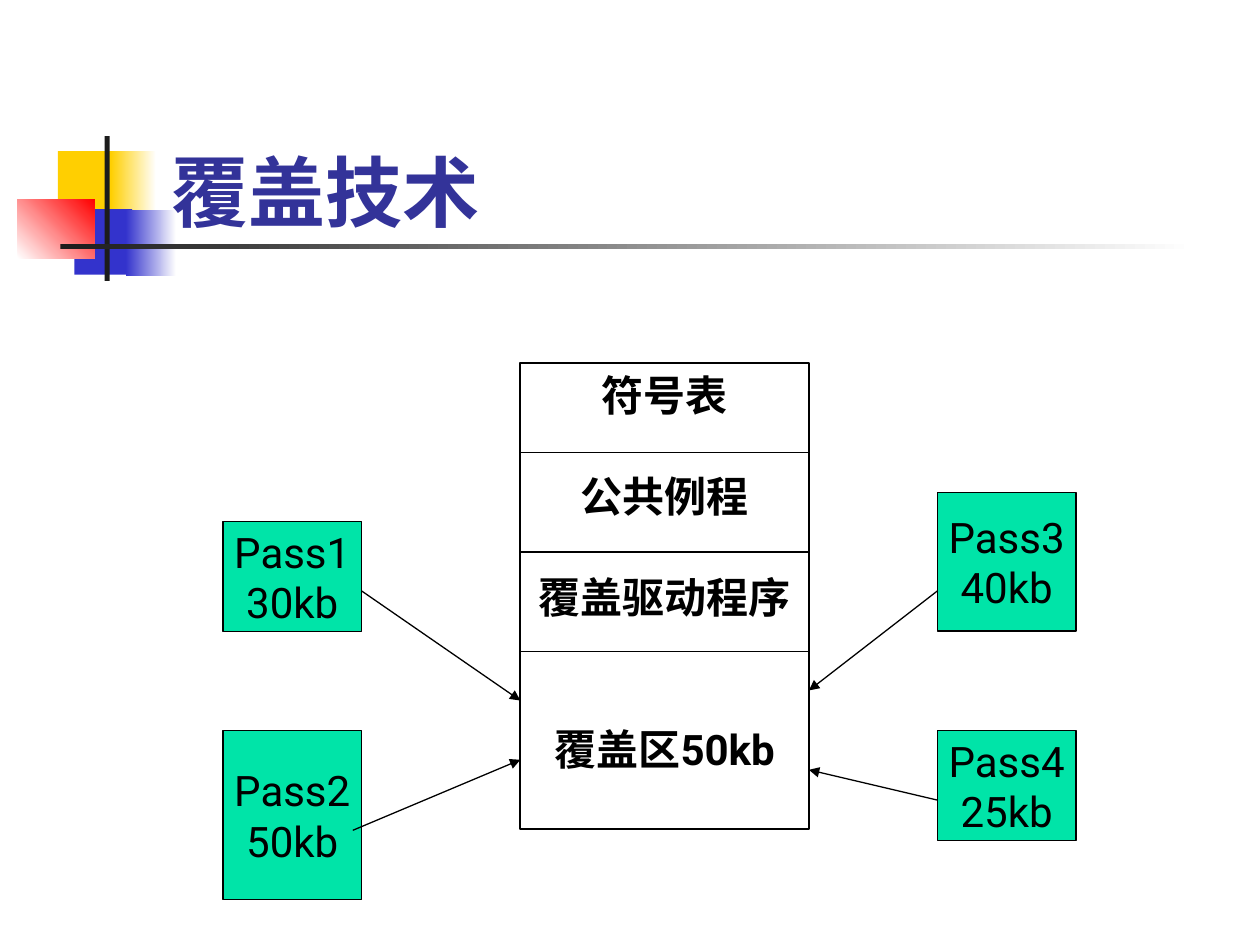
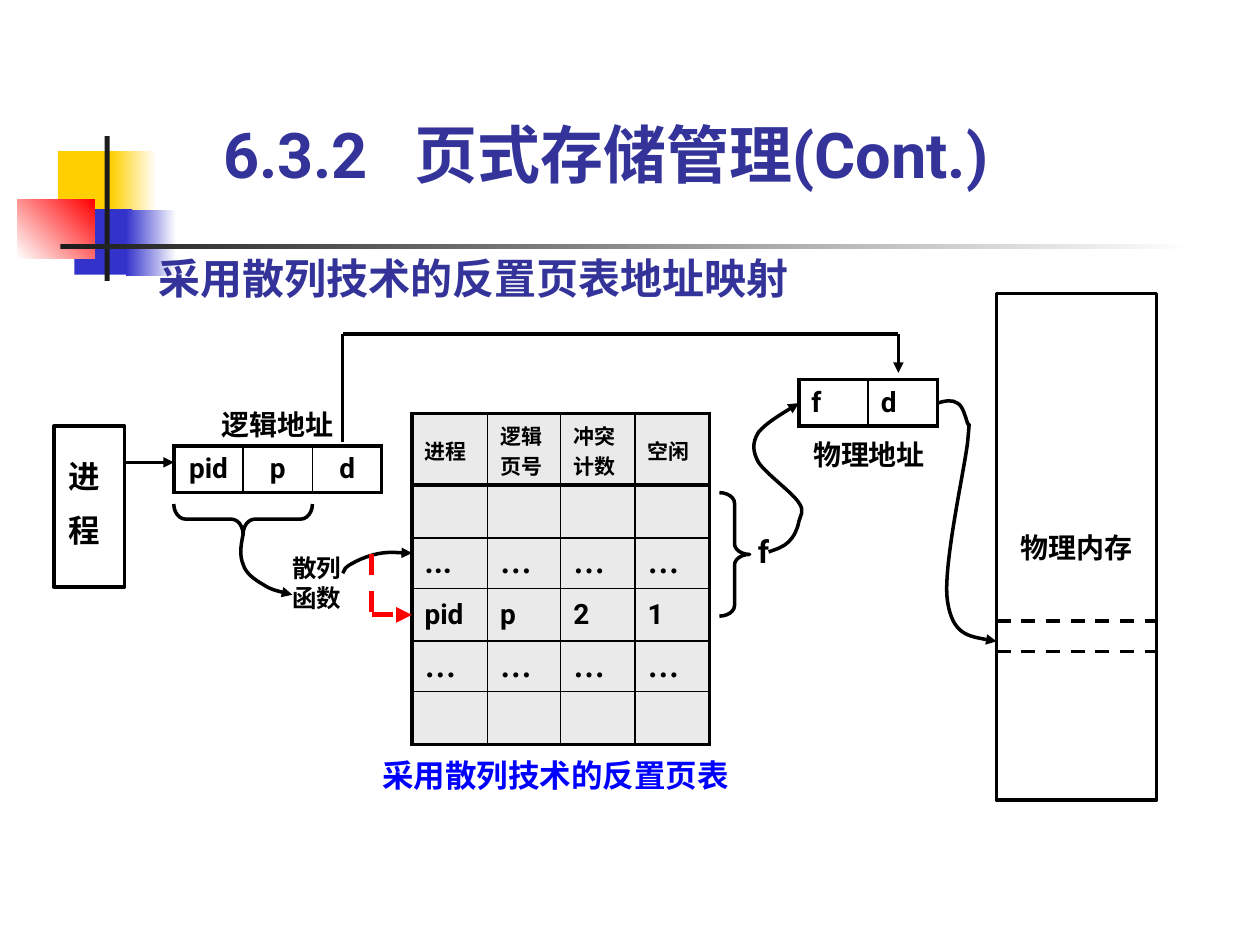
from lxml.etree import SubElement
from pptx import Presentation
from pptx.dml.color import RGBColor
from pptx.enum.dml import MSO_LINE_DASH_STYLE as Dash
from pptx.enum.shapes import MSO_CONNECTOR as Connector, MSO_SHAPE as Shape
from pptx.enum.text import MSO_ANCHOR as Anchor, MSO_AUTO_SIZE as AutoSize, PP_ALIGN as Align
from pptx.oxml.ns import qn
from pptx.util import Inches, Pt

FONT = "Roboto"
COLORS = {
    "black": "000000", "white": "FFFFFF", "title": "333399", "caption": "0000FF",
    "pass": "00E4A8", "cell": "EAEAEA", "red": "FF0000",
    "yellow": "FFCF01", "blue": "3333CC", "bar": "1C1C1C",
}
NO_STYLE_TABLE = "{2D5ABB26-0587-4C30-8999-92F81FD0307C}"
DEFAULT_MARGINS = (0.1, 0.05, 0.1, 0.05)
NO_MARGINS = (0, 0, 0, 0)
THICK, THIN = 2.25, 1


def rgb(name):
    return RGBColor.from_string(COLORS[name])


def inches(values):
    return [Inches(value) for value in values]


# Text
def format_paragraph(paragraph, size, color="black", bold=True, align=Align.LEFT, font=FONT):
    paragraph.alignment = align
    for run in paragraph.runs:
        run.font.size = Pt(size)
        run.font.bold = bold
        run.font.name = font
        run.font.color.rgb = rgb(color)
        SubElement(run.font._element, qn("a:ea"), typeface=font)


def write_text(shape, text, size, anchor=Anchor.TOP, margins=DEFAULT_MARGINS, wrap=True,
               gaps=(), **style):
    """Fill a shape with text; gaps are the points before each later paragraph."""
    frame = shape.text_frame
    frame.text = text
    frame.word_wrap = wrap
    frame.auto_size = AutoSize.NONE
    frame.vertical_anchor = anchor
    (frame.margin_left, frame.margin_top,
     frame.margin_right, frame.margin_bottom) = inches(margins)
    for paragraph in frame.paragraphs:
        format_paragraph(paragraph, size, **style)
    for paragraph, gap in zip(frame.paragraphs[1:], gaps):
        paragraph.space_before = Pt(gap)


def add_label(slide, box, text, size, **style):
    label = slide.shapes.add_textbox(*inches(box))
    write_text(label, text, size, **style)
    return label


def set_title(slide, box, text, size, **style):
    title = slide.shapes.title
    title.left, title.top, title.width, title.height = inches(box)
    write_text(title, text, size, anchor=Anchor.BOTTOM, color="title", **style)
    return title


# Shapes and lines
def add_box(slide, box, fill=None, line_width=None, kind=Shape.RECTANGLE):
    shape = slide.shapes.add_shape(kind, *inches(box))
    shape.shadow.inherit = False
    if fill:
        shape.fill.solid()
        shape.fill.fore_color.rgb = rgb(fill)
    else:
        shape.fill.background()
    if line_width:
        shape.line.color.rgb = rgb("black")
        shape.line.width = Pt(line_width)
    else:
        shape.line.fill.background()
    return shape


def add_brace(slide, kind, box, curve, rotation=0):
    brace = add_box(slide, box, line_width=2, kind=kind)
    brace.adjustments[0] = curve
    brace.rotation = rotation


def style_line(line, width, color="black", arrow=False, dashed=False):
    line.color.rgb = rgb(color)
    line.width = Pt(width)
    if dashed:
        line.dash_style = Dash.DASH
    if arrow:
        SubElement(line._get_or_add_ln(), qn("a:tailEnd"), type="triangle")


def add_line(slide, start, end, width=2, **style):
    line = slide.shapes.add_connector(Connector.STRAIGHT, *inches(start + end))
    SubElement(line.element.spPr, qn("a:effectLst"))
    style_line(line.line, width, **style)


def add_curved_arrow(slide, start, *curves):
    """Draw a chain of cubic curves, each given as two controls and an end."""
    builder = slide.shapes.build_freeform(*inches(start))
    builder.add_line_segments([inches(point) for curve in curves for point in curve],
                              close=False)
    arrow = builder.convert_to_shape()
    outline = arrow.element.find(".//" + qn("a:path"))
    segments = outline.findall(qn("a:lnTo"))
    for index in range(0, len(segments), 3):
        cubic = SubElement(outline, qn("a:cubicBezTo"))
        for segment in segments[index:index + 3]:
            cubic.append(segment[0])
            outline.remove(segment)
    arrow.shadow.inherit = False
    arrow.fill.background()
    style_line(arrow.line, 2, arrow=True)


# Tables
def add_table(slide, left, top, widths, heights):
    frame = slide.shapes.add_table(len(heights), len(widths), *inches(
        (left, top, sum(widths), sum(heights))))
    frame.element.find(".//" + qn("a:tableStyleId")).text = NO_STYLE_TABLE
    table = frame.table
    table.first_row = table.horz_banding = False
    for column, width in zip(table.columns, widths):
        column.width = Inches(width)
    for row, height in zip(table.rows, heights):
        row.height = Inches(height)
    return table


def write_cell(cell, text, size, margins=DEFAULT_MARGINS, line_spacing=None, **style):
    cell.text_frame.text = text
    cell.vertical_anchor = Anchor.MIDDLE
    (cell.margin_left, cell.margin_top,
     cell.margin_right, cell.margin_bottom) = inches(margins)
    paragraph = cell.text_frame.paragraphs[0]
    paragraph.line_spacing = line_spacing
    format_paragraph(paragraph, size, **style)


def draw_grid(table, first, last, thick_below=(), fill=None):
    """Rule rows first to last: thick round the outside, thin inside."""
    thick_rules = {first, last + 1, *(row + 1 for row in thick_below)}
    thick_columns = {0, len(table.columns)}
    for row in range(first, last + 1):
        for column in range(len(table.columns)):
            cell = table.cell(row, column)
            properties = cell._tc.get_or_add_tcPr()
            sides = {"L": column in thick_columns, "R": column + 1 in thick_columns,
                     "T": row in thick_rules, "B": row + 1 in thick_rules}
            for side, thick in sides.items():
                width = Pt(THICK if thick else THIN)
                border = SubElement(properties, qn(f"a:ln{side}"), w=str(width))
                solid = SubElement(border, qn("a:solidFill"))
                SubElement(solid, qn("a:srgbClr"), val=COLORS["black"])
            if fill:
                cell.fill.solid()
                cell.fill.fore_color.rgb = rgb(fill)
            else:
                cell.fill.background()


# Shared decoration beside and below the title, kept on the layout
def decorate_layout(layout, slide):
    bands = [
        ((0.46, 1.2, 0.48, 0.52), ("yellow",), 0),
        ((0.88, 1.2, 0.36, 0.52), ("yellow", "white"), 0),
        ((0.59, 1.66, 0.46, 0.52), ("blue",), 0),
        ((1, 1.67, 0.4, 0.52), ("blue", "white"), 0),
        ((0.14, 1.58, 0.61, 0.47), ("white", "red"), 45),
        ((0.83, 1.08, 0.04, 1.15), ("bar",), 0),
        ((0.48, 1.94, 9, 0.04), ("bar", "white"), 0),
    ]
    for index, (box, colors, angle) in enumerate(bands):
        band = add_box(slide, box, fill=colors[0])
        if len(colors) == 2:
            band.fill.gradient()
            band.fill.gradient_angle = angle
            for stop, color, position in zip(band.fill.gradient_stops, colors, (0, 1)):
                stop.color.rgb = rgb(color)
                stop.position = position
        band.element.nvSpPr.cNvPr.set("id", str(20 + index))
        layout.shapes.element.insert(2 + index, band.element)


def build_overlay_slide(slide):
    set_title(slide, (1.26, 0.68, 8.52, 1.25), "覆盖技术", 44)

    # Memory column with its four areas
    memory = add_box(slide, (4.13, 2.88, 2.29, 3.7), line_width=1.25)
    write_text(memory, "符号表\n公共例程\n覆盖驱动程序\n覆盖区50kb", 24,
               wrap=False, gaps=(29, 29, 58), align=Align.CENTER)
    for index in range(3):
        y = 3.59 + 0.79 * index
        add_line(slide, (4.13, y), (6.42, y), 0.75)

    # Passes and the arrows into the overlay area
    passes = [
        ("Pass1\n30kb", 1.77, 4.14, 0.87, (2.87, 4.69), (4.13, 5.56)),
        ("Pass2\n50kb", 1.77, 5.8, 1.34, (2.8, 6.59), (4.13, 6.03)),
        ("Pass3\n40kb", 7.44, 3.91, 1.1, (7.44, 4.69), (6.42, 5.48)),
        ("Pass4\n25kb", 7.44, 5.8, 0.87, (7.44, 6.35), (6.42, 6.11)),
    ]
    for text, left, top, height, start, end in passes:
        box = add_box(slide, (left, top, 1.1, height), "pass", 0.75)
        write_text(box, text, 24, anchor=Anchor.MIDDLE, wrap=False,
                   bold=False, align=Align.CENTER)
        add_line(slide, start, end, 0.75, arrow=True)


def add_address_tables(slide):
    logical = add_table(slide, 1.38, 3.12, [0.55] * 3, [0.42, 0.37])
    logical.cell(0, 0).merge(logical.cell(0, 2))
    write_cell(logical.cell(0, 0), "逻辑地址", 16, (0, 0.13, 0, 0.03), align=Align.CENTER)
    for column, text in enumerate(("pid", "p", "d")):
        write_cell(logical.cell(1, column), text, 16, align=Align.CENTER)
    draw_grid(logical, 1, 1)

    physical = add_table(slide, 6.34, 3.01, [0.55] * 2, [0.37] * 2)
    physical.cell(1, 0).merge(physical.cell(1, 1))
    write_cell(physical.cell(1, 0), "物理地址", 16, (0.1, 0.11, 0.1, 0), align=Align.RIGHT)
    for column, text in enumerate(("f", "d")):
        write_cell(physical.cell(0, column), text, 16)
    draw_grid(physical, 0, 0)


def add_page_table(slide):
    table = add_table(slide, 3.27, 3.28, [0.6, 0.58, 0.59, 0.59],
                      [0.57, 0.42, 0.4, 0.42, 0.4, 0.42])
    for column, text in enumerate(("进程", "逻辑页号", "冲突计数", "空闲")):
        write_cell(table.cell(0, column), text, 12, (0.1, 0.03, 0.1, 0.03), line_spacing=1.25)
    for column, text in enumerate(("pid", "p", "2", "1")):
        write_cell(table.cell(3, column), text, 16)
        for row in (2, 4):
            first_dots = (row, column) == (2, 0)
            write_cell(table.cell(row, column), "..." if first_dots else "…", 18,
                       font=FONT if first_dots else "Times New Roman")
    draw_grid(table, 0, 5, thick_below=(0,), fill="cell")


def build_paging_slide(slide):
    # Heading with a tab after the section number, and the slide title
    heading = add_label(slide, (1.77, 0.92, 7.09, 0.6), "6.3.2\t页式存储管理(Cont.)", 36,
                        anchor=Anchor.BOTTOM, margins=NO_MARGINS, color="title")
    tabs = SubElement(heading.text_frame.paragraphs[0]._p.get_or_add_pPr(), qn("a:tabLst"))
    SubElement(tabs, qn("a:tab"), pos=str(Inches(1.52)), algn="l")
    title = set_title(slide, (1.26, 2.05, 5.32, 0.36), "采用散列技术的反置页表地址映射", 24,
                      margins=NO_MARGINS)
    title.text_frame.paragraphs[0].line_spacing = 0.9

    add_address_tables(slide)
    add_page_table(slide)

    # Process
    process = add_box(slide, (0.43, 3.38, 0.56, 1.28), line_width=2)
    write_text(process, "进\n程", 18, margins=(0.1, 0.25, 0.18, 0.25), gaps=(9,),
               align=Align.CENTER)
    add_line(slide, (0.98, 3.67), (1.38, 3.67), arrow=True)

    # Hash function
    add_brace(slide, Shape.LEFT_BRACE, (1.81, 3.57, 0.24, 1.1), 0.39, rotation=270)
    add_curved_arrow(slide, (1.93, 4.24),
                     ((1.91, 4.33), (1.9, 4.41), (1.93, 4.48)),
                     ((1.95, 4.55), (2.02, 4.6), (2.09, 4.64)),
                     ((2.15, 4.68), (2.24, 4.7), (2.32, 4.72)))
    add_label(slide, (2.32, 4.39, 0.47, 0.47), "散列函数", 14, margins=NO_MARGINS)
    add_curved_arrow(slide, (2.72, 4.55),
                     ((2.73, 4.52), (2.74, 4.5), (2.8, 4.47)),
                     ((2.85, 4.44), (2.95, 4.4), (3.03, 4.39)),
                     ((3.11, 4.38), (3.19, 4.39), (3.27, 4.39)))

    # Collision step to the matching row
    add_line(slide, (2.95, 4.4), (2.95, 4.88), 3, color="red", dashed=True)
    add_line(slide, (2.95, 4.88), (3.27, 4.88), 3, color="red", dashed=True, arrow=True)

    # Frame number
    add_brace(slide, Shape.RIGHT_BRACE, (5.71, 3.91, 0.24, 0.98), 0.35)
    add_label(slide, (5.94, 4.22, 0.24, 0.3), "f", 18, margins=NO_MARGINS, align=Align.CENTER)
    add_curved_arrow(slide, (6.1, 4.38),
                     ((6.16, 4.36), (6.22, 4.34), (6.26, 4.3)),
                     ((6.3, 4.26), (6.33, 4.2), (6.34, 4.14)),
                     ((6.35, 4.09), (6.39, 4.06), (6.34, 3.99)),
                     ((6.29, 3.91), (6.08, 3.76), (6.02, 3.67)),
                     ((5.97, 3.58), (5.97, 3.51), (6.02, 3.43)),
                     ((6.08, 3.36), (6.21, 3.28), (6.34, 3.2)))

    # Offset carried over unchanged
    add_line(slide, (2.72, 3.51), (2.72, 2.65))
    add_line(slide, (2.72, 2.65), (7.13, 2.65))
    add_line(slide, (7.13, 2.65), (7.13, 2.96), arrow=True)
    add_label(slide, (2.87, 5.95, 3.08, 0.4), "采用散列技术的反置页表", 18,
              color="caption", align=Align.CENTER)

    # Physical memory
    memory = add_box(slide, (7.91, 2.33, 1.27, 4.02), line_width=2)
    write_text(memory, "物理内存", 16, anchor=Anchor.MIDDLE, wrap=False, align=Align.CENTER)
    add_curved_arrow(slide, (7.44, 3.2),
                     ((7.5, 3.18), (7.56, 3.17), (7.6, 3.2)),
                     ((7.64, 3.22), (7.66, 3.3), (7.68, 3.36)),
                     ((7.69, 3.41), (7.7, 3.28), (7.68, 3.51)),
                     ((7.65, 3.75), (7.48, 4.51), (7.52, 4.77)),
                     ((7.56, 5.04), (7.74, 5.06), (7.91, 5.09)))
    for y in (4.93, 5.17):
        add_line(slide, (7.91, y), (9.17, y), dashed=True)


def main():
    presentation = Presentation()
    presentation.slide_width, presentation.slide_height = Inches(10), Inches(7.5)
    layout = presentation.slide_layouts[5]
    overlay_slide = presentation.slides.add_slide(layout)
    paging_slide = presentation.slides.add_slide(layout)
    decorate_layout(layout, overlay_slide)
    build_overlay_slide(overlay_slide)
    build_paging_slide(paging_slide)
    presentation.save("out.pptx")


if __name__ == "__main__":
    main()
